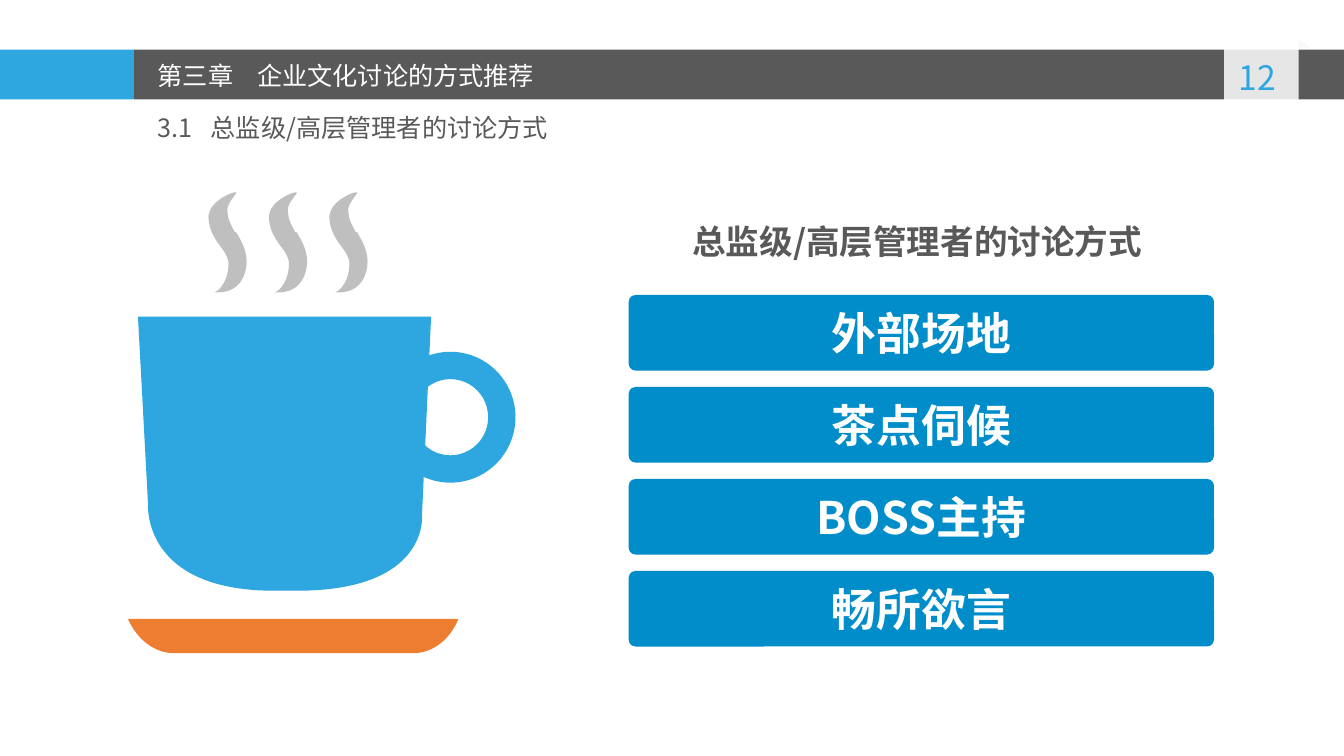
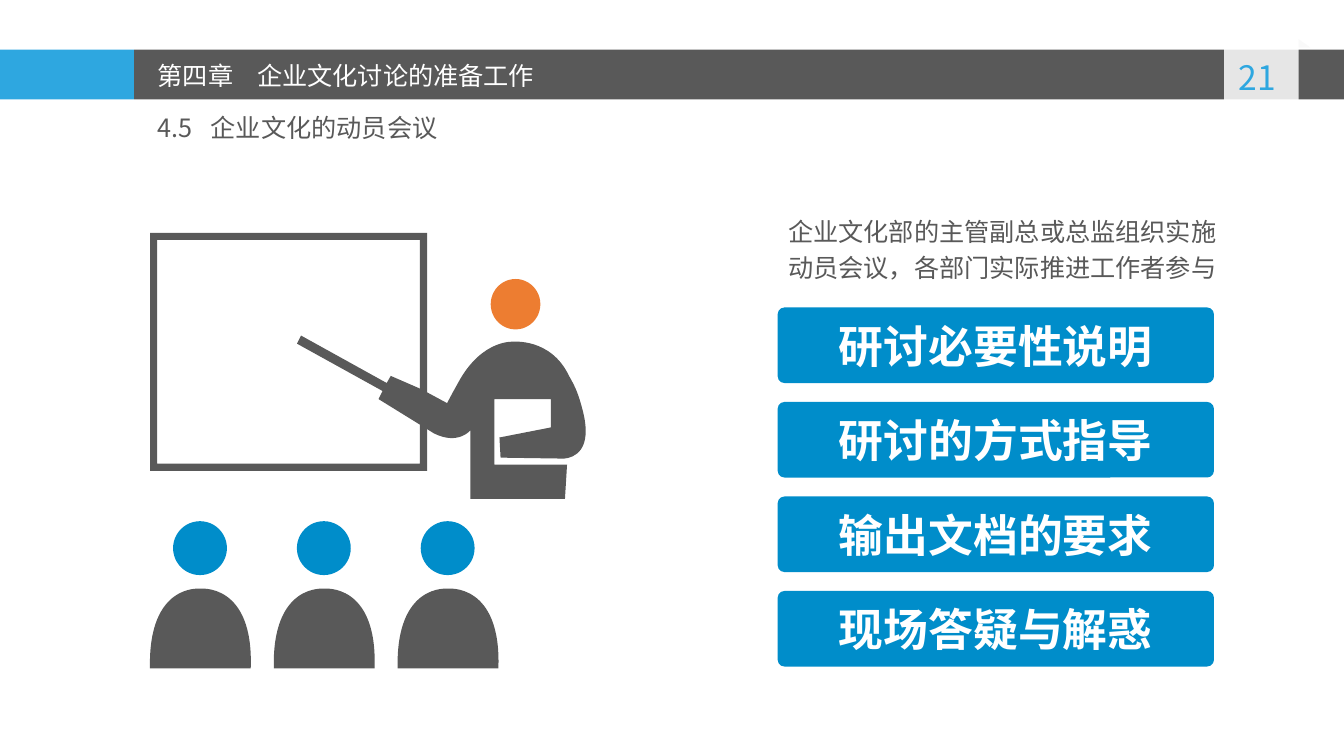
import pptx
import pptx.util
import pptx.dml.color
import pptx.enum.shapes
import pptx.enum.text
import pptx.oxml.ns
from lxml import etree

Pt = pptx.util.Pt
RGB = pptx.dml.color.RGBColor
SHAPE = pptx.enum.shapes.MSO_SHAPE
ALIGN = pptx.enum.text.PP_ALIGN
MIDDLE = pptx.enum.text.MSO_ANCHOR.MIDDLE
qn = pptx.oxml.ns.qn

SKY = RGB(0x2E, 0xA7, 0xE0)
BLUE = RGB(0x00, 0x8D, 0xCA)
GRAY = RGB(0x59, 0x59, 0x59)
STEAM = RGB(0xBF, 0xBF, 0xBF)
PALE = RGB(0xF8, 0xF8, 0xF8)
ORANGE = RGB(0xED, 0x7D, 0x31)
WHITE = RGB(0xFF, 0xFF, 0xFF)

FONT = "Noto Sans CJK SC"
SLIDE_W, SLIDE_H = 960.5, 540
BAND_Y, BAND_H = 35.5, 35.5
ACCENT_W = 95.8
TEXT_X = 105.5
BUTTON_H = 54

FLAG_PATH = "M 0 49.7 L 0 0 L 53.3 0 L 53.3 49.7 L 25.9 45.4"
STEAM_PATH = """M 18.7 28.8 C 16.6 24.5 13.7 20.2 13.7 15.1
C 12.2 10.1 18 4.3 20.2 0.7 C 18 0 13.7 2.2 10.1 4.3
C 4.3 7.9 0.7 12.2 0 17.3 C 0 24.5 2.2 29.5 5.8 35.3
C 8.6 39.6 14.4 45.4 14.4 51.8 C 14.4 62.6 8.6 70.6 4.3 72
C 5.8 72 22.3 74.2 26.6 56.2 C 28.8 47.5 25.9 38.9 20.9 31
C 20.2 29.5 20.2 28.8 18.7 28.8"""
SAUCER_PATH = """M 0 305.3 C 6.5 319.7 18.7 329.8 33.1 329.8
L 203.8 329.8 C 218.2 329.8 230.4 319.7 236.2 305.3"""
CUP_PATH = """M 7.2 89.3 L 14.4 223.2 C 14.4 223.2 9.4 287.3 109.4 285.1
L 115.2 285.1 C 216 287.3 210.2 231.1 210.2 231.1 L 216.7 89.3"""
SPEAKER_PATH = """M 249.8 146.2 L 250.6 160.6 L 295.9 161.3
C 303.8 160.6 316.1 154.8 309.6 128.2 C 306.7 116.6 304.6 110.9 299.5 102.2
C 286.6 74.9 259.2 77.8 259.2 77.8 C 259.2 77.8 238.3 76.3 221.8 104.4
C 218.2 110.9 215.3 115.9 212.4 121.7 L 193.7 111.6 L 172.1 102.2
L 169.2 107.3 L 108 73.4 L 105.1 79.2 L 166.3 113 L 163.4 118.8
L 193.7 137.5 L 203 143.3 C 220.3 151.9 229 141.1 229 141.1
L 229 190.1 L 296.6 190.1 L 298.1 165.6 L 246.2 165.6
L 246.2 118.8 L 286.6 118.8 L 286.6 139"""
LISTENER_PATH = """M 72 105.1 C 74.2 43.9 36 48.2 36 48.2
C 36 48.2 -1.4 43.9 0 105.1"""


def write(sp, text, size=18, color=GRAY, bold=False, align=ALIGN.LEFT,
          tab=None, line=None, inset=7.2):
    """Fill a shape with one formatted paragraph, centred vertically."""
    tf = sp.text_frame
    tf.word_wrap = True
    tf.auto_size = pptx.enum.text.MSO_AUTO_SIZE.NONE
    tf.vertical_anchor = MIDDLE
    tf.margin_left = tf.margin_right = Pt(inset)
    tf.margin_top = tf.margin_bottom = Pt(3.6)
    p = tf.paragraphs[0]
    p.alignment = align
    if tab:
        tabs = etree.SubElement(p._p.get_or_add_pPr(), qn("a:tabLst"))
        etree.SubElement(tabs, qn("a:tab"), pos=str(Pt(tab)), algn="l")
    if line:
        p.line_spacing = Pt(line)
    r = p.add_run()
    r.text = text
    r.font.name = FONT
    r.font.size = Pt(size)
    r.font.bold = bold
    r.font.color.rgb = color
    etree.SubElement(r.font._element, qn("a:ea"), typeface=FONT)


def paint(sp, color, opacity=100):
    """Give a shape a plain fill without line or shadow."""
    sp.shadow.inherit = False
    sp.fill.solid()
    sp.fill.fore_color.rgb = color
    sp.line.fill.background()
    if opacity < 100:
        tint = sp.element.find(".//" + qn("a:srgbClr"))
        etree.SubElement(tint, qn("a:alpha"), val=str(opacity * 1000))
    return sp


def add_shape(s, kind, x, y, w, h, color, opacity=100):
    """Add a plain preset shape."""
    sp = s.shapes.add_shape(kind, Pt(x), Pt(y), Pt(w), Pt(h))
    return paint(sp, color, opacity)


def add_text(s, x, y, w, h, text, **fmt):
    """Add a text box."""
    write(s.shapes.add_textbox(Pt(x), Pt(y), Pt(w), Pt(h)), text, **fmt)


def read_outline(outline, x, y):
    """List the segments of an outline, each a tuple of points on the slide."""
    segments, tokens = [], outline.split()
    while tokens:
        count = 6 if tokens[0] == "C" else 2
        values = [float(v) for v in tokens[1:count + 1]]
        segments.append([(Pt(x + px), Pt(y + py))
                         for px, py in zip(values[::2], values[1::2])])
        tokens = tokens[count + 1:]
    return segments


def add_outline(s, x, y, outline, color, opacity=100):
    """Draw a closed outline of lines and cubic curves relative to a corner."""
    segments = read_outline(outline, x, y)
    ends = [segment[-1] for segment in segments]
    builder = s.shapes.build_freeform(*ends[0])
    builder.add_line_segments(ends[1:], close=True)
    sp = builder.convert_to_shape()
    lines = sp.element.findall(".//" + qn("a:lnTo"))
    for line, segment in zip(lines, segments[1:]):
        if len(segment) == 3:
            curve = etree.Element(qn("a:cubicBezTo"))
            for px, py in segment:
                etree.SubElement(curve, qn("a:pt"), x=str(px - sp.left), y=str(py - sp.top))
            line.getparent().replace(line, curve)
    return paint(sp, color, opacity)


def set_up_layout(prs):
    """Keep only the title on the title-only layout."""
    layout = prs.slide_layouts[5]
    for ph in list(layout.placeholders)[1:]:
        ph.element.getparent().remove(ph.element)
    return layout


def add_band(layout, s):
    """Build the header band and hand it to the layout."""
    parts = (
        add_shape(s, SHAPE.RECTANGLE, 0, BAND_Y, ACCENT_W, BAND_H, SKY),
        add_shape(s, SHAPE.RECTANGLE, ACCENT_W, BAND_Y, SLIDE_W - ACCENT_W, BAND_H, GRAY),
        add_shape(s, SHAPE.RIGHT_TRIANGLE, 928, 28, 8.5, 6, PALE, 83),
        add_outline(s, 874.8, 28.8, FLAG_PATH, WHITE, 85),
    )
    for sp in parts:
        layout.shapes.element.append(sp.element)


def add_header(s, chapter, page, number, topic):
    """Place the chapter title, page number and section line."""
    title = s.shapes.title
    title.left, title.top = Pt(TEXT_X), Pt(BAND_Y + 0.5)
    title.width, title.height = Pt(363), Pt(BAND_H)
    write(title, chapter, color=WHITE, tab=71)
    add_text(s, 872, 37, 53.3, 36, page, size=24, color=SKY, align=ALIGN.CENTER)
    add_text(s, TEXT_X, 76.3, 382, 29, f"{number}\t{topic}", tab=38)


def add_buttons(s, x, y, w, gap, labels):
    """Stack equal rounded buttons downwards."""
    for i, label in enumerate(labels):
        sp = add_shape(s, SHAPE.ROUNDED_RECTANGLE, x, y + i * (BUTTON_H + gap),
                       w, BUTTON_H, BLUE)
        sp.adjustments[0] = 0.09
        write(sp, label, size=32, color=WHITE, bold=True, align=ALIGN.CENTER)


def draw_cup(s, x, y):
    """Draw a steaming cup on a saucer."""
    for i in range(3):
        add_outline(s, x + 57.6 + i * 43.2, y, STEAM_PATH, STEAM)
    add_outline(s, x, y, SAUCER_PATH, ORANGE)
    add_outline(s, x, y, CUP_PATH, SKY)
    handle = add_shape(s, SHAPE.DONUT, x + 184, y + 114.5, 93, 93.5, SKY)
    handle.adjustments[0] = 0.21


def draw_meeting(s, x, y):
    """Draw a speaker at a board in front of three listeners."""
    for i in range(3):
        left, top = x + i * 88.5, y + 206
        add_outline(s, left, top, LISTENER_PATH, GRAY)
        add_shape(s, SHAPE.OVAL, left + 16.5, top, 38.5, 38.5, BLUE)
    add_shape(s, SHAPE.OVAL, x + 243.5, y + 33, 35.5, 36, ORANGE)
    board = add_shape(s, SHAPE.FRAME, x, y, 198, 170, GRAY)
    board.adjustments[0] = 0.03
    add_outline(s, x, y, SPEAKER_PATH, GRAY)


def build_discussion(s):
    """Build the slide on how senior managers discuss."""
    topic = "总监级/高层管理者的讨论方式"
    add_header(s, "第三章\t企业文化讨论的方式推荐", "12", "3.1", topic)
    draw_cup(s, 91.4, 136.8)
    add_text(s, 469.5, 154, 372, 36, topic, size=24, bold=True, align=ALIGN.CENTER)
    add_buttons(s, 449.3, 210.7, 418.3, 11.7,
                ("外部场地", "茶点伺候", "BOSS主持", "畅所欲言"))


def build_mobilisation(s):
    """Build the slide on the kick-off meeting."""
    add_header(s, "第四章\t企业文化讨论的准备工作", "21", "4.5", "企业文化的动员会议")
    draw_meeting(s, 107.2, 166.3)
    add_text(s, 555.8, 146.5, 321, 59,
             "企业文化部的主管副总或总监组织实施动员会议，各部门实际推进工作者参与",
             align=ALIGN.CENTER, line=26, inset=5)
    add_buttons(s, 555.8, 219.6, 311.8, 13.5,
                ("研讨必要性说明", "研讨的方式指导", "输出文档的要求", "现场答疑与解惑"))


def main():
    """Build and save the presentation."""
    prs = pptx.Presentation()
    prs.slide_width, prs.slide_height = Pt(SLIDE_W), Pt(SLIDE_H)
    layout = set_up_layout(prs)
    slides = [prs.slides.add_slide(layout) for _ in range(2)]
    add_band(layout, slides[0])
    build_discussion(slides[0])
    build_mobilisation(slides[1])
    prs.save("out.pptx")


if __name__ == "__main__":
    main()
